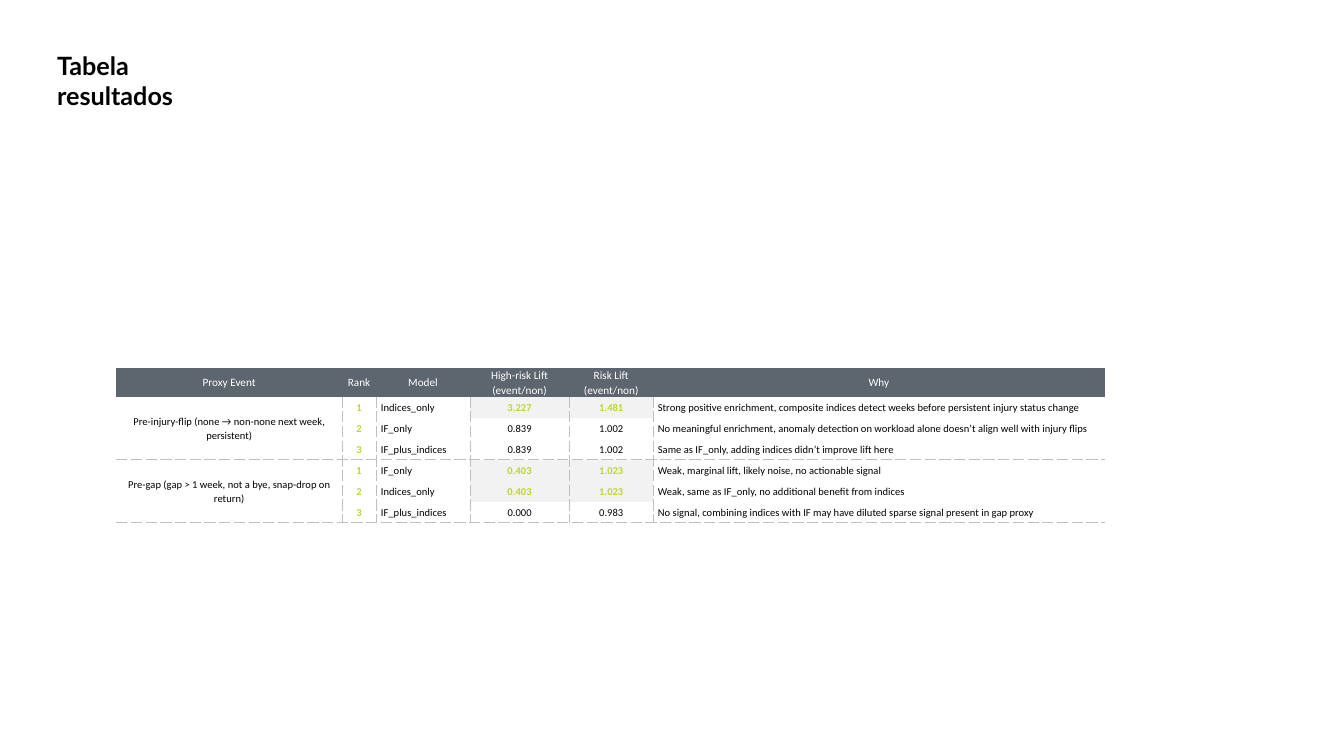
from dataclasses import dataclass

from lxml.etree import SubElement
from pptx import Presentation
from pptx.dml.color import RGBColor
from pptx.enum.text import MSO_ANCHOR, MSO_AUTO_SIZE, PP_ALIGN
from pptx.oxml.ns import qn
from pptx.util import Cm, Pt


@dataclass(frozen=True)
class Theme:
    ink: str = "000000"
    accent: str = "BFD630"
    header_fill: str = "5D666F"
    header_ink: str = "FFFFFF"
    highlight: str = "F2F2F2"
    rule: str = "BFBFBF"
    title_font: str = "Lato"
    table_font: str = "Calibri"
    title_size: float = 18
    header_size: float = 8
    body_size: float = 7.5
    rule_width: float = 0.5


THEME = Theme()
INSET = Cm(0.12)
ROW_HEIGHT = Cm(0.53)
COLUMN_WIDTHS = [5.69, 0.86, 2.36, 2.51, 2.11, 11.38]
CENTERED_COLUMNS = {0, 1, 3, 4}
HEADERS = ["Proxy Event", "Rank", "Model", "High-risk Lift (event/non)",
           "Risk Lift (event/non)", "Why"]
# Each event: name, number of leading ranks highlighted, results in rank order
EVENTS = [
    ("Pre-injury-flip (none → non-none next week, persistent)", 1, [
        ("Indices_only", "3.227", "1.481",
         "Strong positive enrichment, composite indices detect weeks before "
         "persistent injury status change"),
        ("IF_only", "0.839", "1.002",
         "No meaningful enrichment, anomaly detection on workload alone "
         "doesn’t align well with injury flips"),
        ("IF_plus_indices", "0.839", "1.002",
         "Same as IF_only, adding indices didn’t improve lift here"),
    ]),
    ("Pre-gap (gap > 1 week, not a bye, snap-drop on return)", 2, [
        ("IF_only", "0.403", "1.023",
         "Weak, marginal lift, likely noise, no actionable signal"),
        ("Indices_only", "0.403", "1.023",
         "Weak, same as IF_only, no additional benefit from indices"),
        ("IF_plus_indices", "0.000", "0.983",
         "No signal, combining indices with IF may have diluted sparse signal "
         "present in gap proxy"),
    ]),
]


def apply(target, formats):
    for attribute, value in formats.items():
        setattr(target, attribute, value)


def write(paragraph, text, font, size, color, bold=False):
    run = paragraph.add_run()
    run.text = text
    apply(run.font, {"name": font, "size": Pt(size), "bold": bold})
    run.font.color.rgb = RGBColor.from_string(color)


def set_borders(cell, ruled):
    """Dash the sides named in ruled and clear the others."""
    properties = cell._tc.get_or_add_tcPr()
    for side in "LRTB":
        line = SubElement(properties, qn(f"a:ln{side}"), w=str(Pt(THEME.rule_width)))
        if side in ruled:
            fill = SubElement(line, qn("a:solidFill"))
            SubElement(fill, qn("a:srgbClr"), val=THEME.rule)
            SubElement(line, qn("a:prstDash"), val="sysDash")
        else:
            SubElement(line, qn("a:noFill"))


def format_cell(cell, ruled="", fill=None):
    set_borders(cell, ruled)
    if fill:
        cell.fill.solid()
        cell.fill.fore_color.rgb = RGBColor.from_string(fill)
    else:
        cell.fill.background()


def write_cell(cell, text, size, color, bold=False, centered=True, compact=False):
    side_inset = 0 if compact else INSET
    apply(cell, {"vertical_anchor": MSO_ANCHOR.MIDDLE, "margin_left": side_inset,
                 "margin_right": side_inset, "margin_top": 0, "margin_bottom": 0})
    paragraph = cell.text_frame.paragraphs[0]
    paragraph.alignment = PP_ALIGN.CENTER if centered else PP_ALIGN.LEFT
    if not compact:
        apply(paragraph, {"line_spacing": 1.07, "space_after": Pt(8)})
    write(paragraph, text, THEME.table_font, size, color, bold)


def add_title(slide, left, top, width, height):
    title = slide.shapes.add_textbox(left, top, width, height).text_frame
    apply(title, {"word_wrap": True, "auto_size": MSO_AUTO_SIZE.SHAPE_TO_FIT_TEXT})
    write(title.paragraphs[0], "Tabela resultados", THEME.title_font,
          THEME.title_size, THEME.ink, bold=True)


def add_event(table, first_row, event, highlighted, results):
    """Fill the rows of one proxy event, its name merged down the first column."""
    last_row = first_row + len(results) - 1
    last_column = len(COLUMN_WIDTHS) - 1
    for rank, result in enumerate(results, 1):
        row = first_row + rank - 1
        for column, text in enumerate((event, str(rank), *result)):
            cell = table.cell(row, column)
            is_lift = column in (3, 4)
            marked = is_lift and rank <= highlighted
            ruled = ("L" if column else "") + ("R" if column < last_column else "")
            if row == last_row or column == 0:
                ruled += "B"
            if row == first_row and row > 1:
                ruled += "T"
            format_cell(cell, ruled, THEME.highlight if marked else None)
            if column == 0 and rank > 1:
                continue
            accented = marked or column == 1
            write_cell(cell, text, THEME.body_size,
                       THEME.accent if accented else THEME.ink,
                       bold=accented, centered=column in CENTERED_COLUMNS)
    table.cell(first_row, 0).merge(table.cell(last_row, 0))


def add_results(slide, left, top):
    row_count = 1 + sum(len(results) for _, _, results in EVENTS)
    table = slide.shapes.add_table(
        row_count, len(HEADERS), left, top,
        Cm(sum(COLUMN_WIDTHS)), ROW_HEIGHT * row_count).table
    apply(table, {"first_row": False, "horz_banding": False})
    for column, width in zip(table.columns, COLUMN_WIDTHS):
        column.width = Cm(width)
    for row in table.rows:
        row.height = ROW_HEIGHT

    # Header row
    for column, header in enumerate(HEADERS):
        cell = table.cell(0, column)
        format_cell(cell, fill=THEME.header_fill)
        write_cell(cell, header, THEME.header_size, THEME.header_ink,
                   compact=header == "Rank")

    # Proxy events
    first_row = 1
    for event, highlighted, results in EVENTS:
        add_event(table, first_row, event, highlighted, results)
        first_row += len(results)


def main():
    presentation = Presentation()
    apply(presentation, {"slide_width": Cm(33.87), "slide_height": Cm(19.05)})
    slide = presentation.slides.add_slide(presentation.slide_layouts[6])
    add_title(slide, Cm(1.19), Cm(1.14), Cm(4.11), Cm(1.8))
    add_results(slide, Cm(2.93), Cm(9.27))
    presentation.save("out.pptx")


if __name__ == "__main__":
    main()
